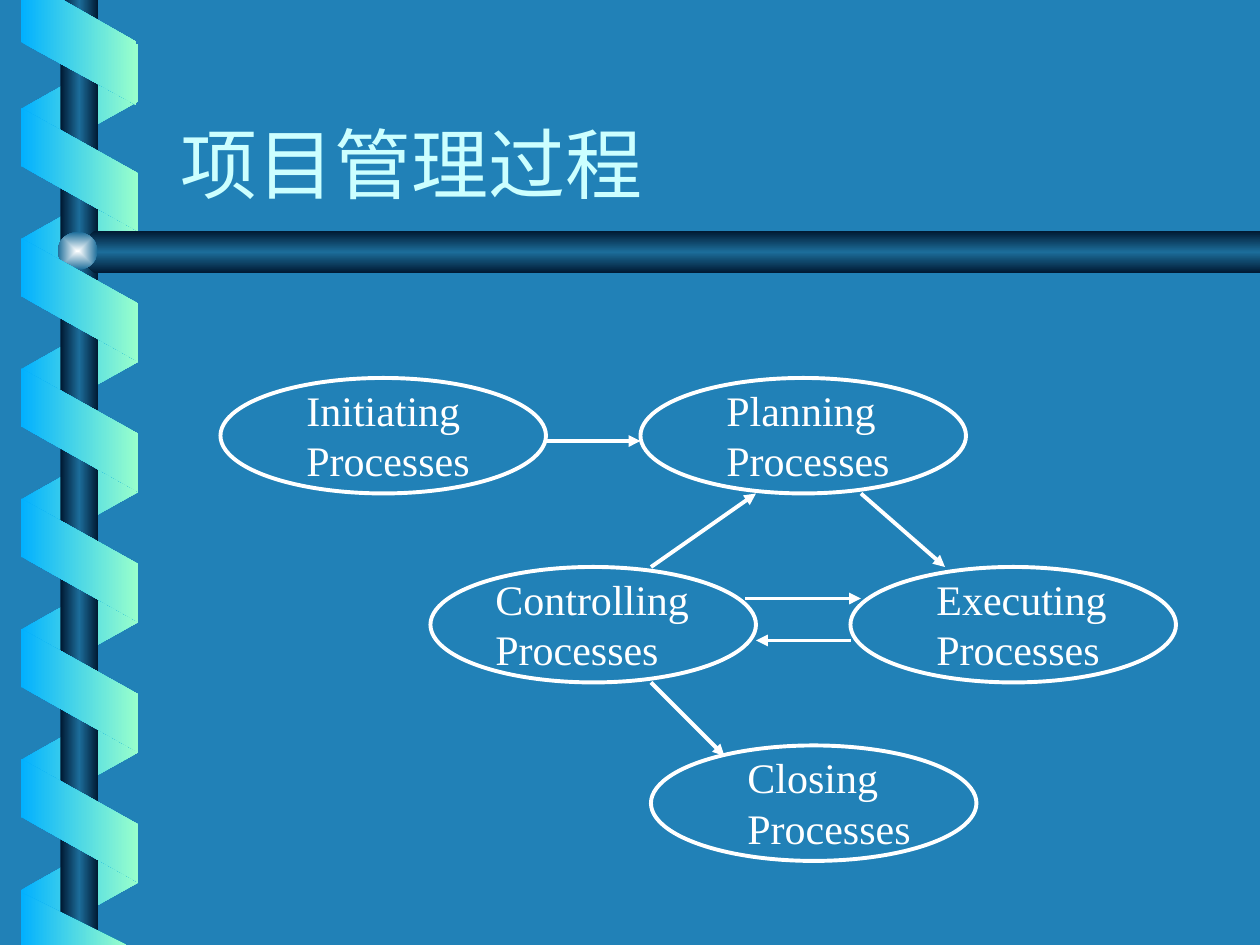
"""Build the project management process slide on a grid of twelfths of an inch."""
from typing import NamedTuple

import pptx
import pptx.dml.color
import pptx.enum.shapes
import pptx.enum.text
import pptx.oxml
import pptx.oxml.ns
import pptx.util

CELL = pptx.util.Inches(1) / 12
COLUMNS, ROWS = 120, 90
WHITE = "FFFFFF"
RIBBON = ((0, "01B0FF"), (100, "99FFCC"))
BAR = ((0, "001932"), (50, "1C6D9A"), (100, "001932"))
BALL = ((0, "FEFFFF"), (100, "1C6D9A"))
RIBBON_PITCH = 12.4
OVAL_WIDTH, OVAL_HEIGHT = 31, 11
SHAPES = pptx.enum.shapes.MSO_SHAPE


class Area(NamedTuple):
    """A rectangle in grid columns and rows."""
    column: float
    row: float
    columns: float
    rows: float


class Process(NamedTuple):
    """An oval with a label set in from its left edge."""
    name: str
    column: float
    row: float
    indent: float = 7
    label_columns: float = 20


class Arrow(NamedTuple):
    """A straight arrow between two grid points."""
    start: tuple[float, float]
    end: tuple[float, float]


class Coil(NamedTuple):
    """A column of equally spaced ribbon turns."""
    first_row: float
    turns: int
    rotation: int
    gradient_angle: int
    flipped: bool


BACK_COIL = Coil(4.44, 7, 90, 270, True)
FRONT_COIL = Coil(10.56, 6, 270, 90, False)
TOP_END = ((2, 0), (2, 3.5), (13.1, 9.7), (13.1, 4.2), (5.6, 0))
BOTTOM_END = ((11.5, 89.9), (2, 84.6), (1.9, 90))
CROSSBAR = ((120, 22.3), (9.1, 22.3), (7.2, 24), (9.1, 25.7), (120, 25.7))

PROCESSES = (
    Process("Initiating", 21, 36),
    Process("Planning", 61, 36),
    Process("Controlling", 41, 54, 5, 23),
    Process("Executing", 81, 54),
    Process("Closing", 62, 71, 8),
)
ARROWS = (
    Arrow((52, 42), (61, 42)),
    Arrow((62, 54), (72, 47)),
    Arrow((82, 47), (90, 54)),
    Arrow((71, 57), (82, 57)),
    Arrow((81, 61), (72, 61)),
    Arrow((62, 65), (69, 72)),
)


def grid(*cells: float) -> list[int]:
    """Turn grid lengths into slide units."""
    return [round(cell * CELL) for cell in cells]


def color(code: str) -> pptx.dml.color.RGBColor:
    """Turn a hex string into a colour."""
    return pptx.dml.color.RGBColor.from_string(code)


def apply(target, values: dict) -> None:
    """Set each named attribute on the target."""
    for name, value in values.items():
        setattr(target, name, value)


def shade(shape, stops, angle: int | None) -> None:
    """Fill a shape with a linear gradient, or a centred one without an angle."""
    shape.shadow.inherit = False
    shape.line.fill.background()
    shape.fill.gradient()
    listing = "".join(
        f'<a:gs pos="{place * 1000}"><a:srgbClr val="{code}"/></a:gs>' for place, code in stops
    )
    if angle is None:
        course = '<a:path path="rect"><a:fillToRect l="50000" t="50000" r="50000" b="50000"/></a:path>'
    else:
        course = f'<a:lin ang="{angle * 60000}" scaled="0"/>'
    gradient = pptx.oxml.parse_xml(
        f'<a:gradFill {pptx.oxml.ns.nsdecls("a")} rotWithShape="1">'
        f"<a:gsLst>{listing}</a:gsLst>{course}</a:gradFill>"
    )
    properties = shape.element.spPr
    properties.replace(properties.find(pptx.oxml.ns.qn("a:gradFill")), gradient)


def draw_shape(page, kind, area: Area, stops, angle: int | None):
    """Draw a preset shape with a gradient."""
    shape = page.shapes.add_shape(kind, *grid(*area))
    shade(shape, stops, angle)
    return shape


def draw_outline(page, points, stops, angle: int) -> None:
    """Draw a closed polygon with a gradient."""
    builder = page.shapes.build_freeform(*points[0], scale=CELL)
    builder.add_line_segments(points[1:], close=True)
    shade(builder.convert_to_shape(), stops, angle)


def draw_coil(page, coil: Coil) -> None:
    """Draw the turns of one side of the ribbon."""
    for turn in range(coil.turns):
        area = Area(1.68, coil.first_row + turn * RIBBON_PITCH, 11.76, 11.16)
        shape = draw_shape(page, SHAPES.PARALLELOGRAM, area, RIBBON, coil.gradient_angle)
        shape.adjustments[0] = 0.56
        shape.rotation = coil.rotation
        if coil.flipped:
            shape.element.spPr.xfrm.set("flipH", "1")


def write(frame, text: str, size: int, font: str, code: str, anchor) -> None:
    """Write one left-aligned paragraph into a wrapping frame."""
    apply(frame, {"word_wrap": True, "vertical_anchor": anchor,
                  "auto_size": pptx.enum.text.MSO_AUTO_SIZE.NONE})
    para = frame.paragraphs[0]
    para.alignment = pptx.enum.text.PP_ALIGN.LEFT
    span = para.add_run()
    span.text = text
    apply(span.font, {"size": pptx.util.Pt(size), "name": font})
    span.font.color.rgb = color(code)


def stroke(line) -> None:
    """Give a line the white diagram stroke."""
    line.color.rgb = color(WHITE)
    line.width = pptx.util.Pt(2.25)


def draw_process(page, process: Process) -> None:
    """Draw an oval and its label."""
    oval = page.shapes.add_shape(
        SHAPES.OVAL, *grid(process.column, process.row, OVAL_WIDTH, OVAL_HEIGHT))
    oval.shadow.inherit = False
    oval.fill.background()
    stroke(oval.line)
    box = page.shapes.add_textbox(
        *grid(process.column + process.indent, process.row, process.label_columns, 10.8))
    write(box.text_frame, f"{process.name} Processes", 24, "Times New Roman", WHITE,
          pptx.enum.text.MSO_ANCHOR.TOP)


def draw_arrow(page, arrow: Arrow) -> None:
    """Draw an arrow with a triangular head."""
    connector = page.shapes.add_connector(
        pptx.enum.shapes.MSO_CONNECTOR.STRAIGHT, *grid(*arrow.start, *arrow.end))
    stroke(connector.line)
    namespace = pptx.oxml.ns.nsdecls("a")
    properties = connector.element.spPr
    properties.find(pptx.oxml.ns.qn("a:ln")).append(
        pptx.oxml.parse_xml(f'<a:tailEnd {namespace} type="triangle"/>'))
    properties.append(pptx.oxml.parse_xml(f"<a:effectLst {namespace}/>"))


def main() -> None:
    """Build and save the deck."""
    deck = pptx.Presentation()
    deck.slide_width, deck.slide_height = grid(COLUMNS, ROWS)
    page = deck.slides.add_slide(deck.slide_layouts[5])
    page.background.fill.solid()
    page.background.fill.fore_color.rgb = color("2181B7")

    draw_coil(page, BACK_COIL)
    draw_shape(page, SHAPES.RECTANGLE, Area(5.76, 0, 3.6, ROWS), BAR, 0)
    draw_outline(page, CROSSBAR, BAR, 90)
    draw_shape(page, SHAPES.OVAL, Area(5.5, 22.1, 3.8, 3.6), BALL, None)
    draw_coil(page, FRONT_COIL)
    for points in (TOP_END, BOTTOM_END):
        draw_outline(page, points, RIBBON, 0)

    title = page.shapes.title
    apply(title, dict(zip(("left", "top", "width", "height"), grid(16, 5.5, 102, 15))))
    write(title.text_frame, "项目管理过程", 44, "Roboto Condensed", "CCFFFF",
          pptx.enum.text.MSO_ANCHOR.BOTTOM)
    for process in PROCESSES:
        draw_process(page, process)
    for arrow in ARROWS:
        draw_arrow(page, arrow)
    deck.save("out.pptx")


if __name__ == "__main__":
    main()
